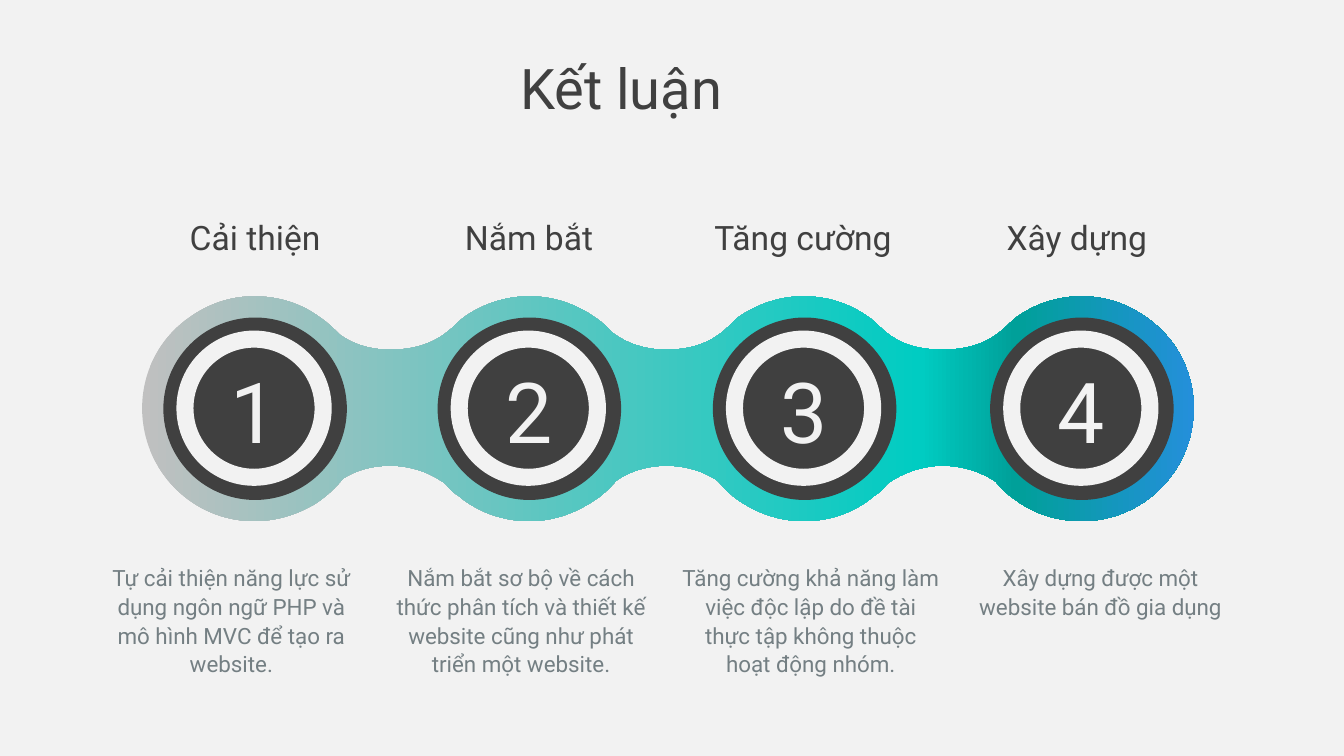
import pptx
import pptx.dml.color
import pptx.enum.shapes
import pptx.enum.text
import pptx.oxml
import pptx.oxml.ns
import pptx.util
from pptx.util import Inches

KINDS = pptx.enum.shapes.MSO_SHAPE
FONT = "Roboto"
DARK, LIGHT, GREY = "404040", "F2F2F2", "747F83"
STEPS = [
    ("Cải thiện", "Tự cải thiện năng lực sử dụng ngôn ngữ PHP và mô hình MVC để tạo ra website."),
    ("Nắm bắt", "Nắm bắt sơ bộ về cách thức phân tích và thiết kế website cũng như phát triển một website."),
    ("Tăng cường", "Tăng cường khả năng làm việc độc lập do đề tài thực tập không thuộc hoạt động nhóm."),
    ("Xây dựng", "Xây dựng được một website bán đồ gia dụng"),
]
MIDS = [2.52, 5.24, 7.97, 10.72]
STOPS = [(0, "C0C0C0"), (74, "00CCC2"), (83, "00A099"), (100, "248FDA")]

# Outline of the chain: a start point, then curves (two handles and an end)
START = (11.37, 3.15)
CURVES = [
    # Top edge, right to left
    (11.19, 3.02, 10.97, 2.94, 10.73, 2.94), (10.48, 2.94, 10.26, 3.02, 10.08, 3.15),
    (9.97, 3.23, 9.83, 3.47, 9.35, 3.47), (8.87, 3.47, 8.76, 3.25, 8.62, 3.15),
    (8.44, 3.02, 8.22, 2.94, 7.97, 2.94), (7.73, 2.94, 7.51, 3.02, 7.32, 3.15),
    (7.23, 3.22, 7.08, 3.47, 6.61, 3.47), (6.4, 3.47, 6.21, 3.41, 6.06, 3.29),
    (6.03, 3.25, 5.95, 3.18, 5.9, 3.15), (5.72, 3.02, 5.49, 2.94, 5.25, 2.94),
    (5.01, 2.94, 4.78, 3.02, 4.6, 3.15), (4.5, 3.22, 4.35, 3.47, 3.87, 3.47),
    (3.68, 3.47, 3.51, 3.42, 3.37, 3.32), (3.31, 3.26, 3.25, 3.2, 3.16, 3.14),
    (2.98, 3.01, 2.76, 2.94, 2.52, 2.94), (2.28, 2.94, 2.06, 3.02, 1.88, 3.15),
    # Left end
    (1.59, 3.35, 1.41, 3.68, 1.41, 4.05), (1.41, 4.67, 1.91, 5.17, 2.52, 5.17),
    # Bottom edge, left to right
    (2.75, 5.17, 2.96, 5.1, 3.14, 4.99), (3.24, 4.92, 3.33, 4.84, 3.4, 4.75),
    (3.54, 4.66, 3.7, 4.62, 3.87, 4.62), (4.08, 4.62, 4.27, 4.69, 4.42, 4.8),
    (4.46, 4.85, 4.5, 4.89, 4.55, 4.92), (4.74, 5.08, 4.99, 5.17, 5.25, 5.17),
    (5.49, 5.17, 5.71, 5.09, 5.9, 4.96), (5.98, 4.91, 6.05, 4.84, 6.11, 4.77),
    (6.25, 4.67, 6.43, 4.62, 6.61, 4.62), (6.8, 4.62, 6.97, 4.67, 7.12, 4.77),
    (7.18, 4.84, 7.25, 4.91, 7.32, 4.96), (7.51, 5.09, 7.73, 5.17, 7.97, 5.17),
    (8.24, 5.17, 8.48, 5.08, 8.67, 4.92), (8.72, 4.89, 8.76, 4.85, 8.8, 4.8),
    (8.95, 4.69, 9.15, 4.62, 9.35, 4.62), (9.55, 4.62, 9.73, 4.68, 9.88, 4.78),
    (9.93, 4.85, 9.99, 4.9, 10.06, 4.95), (10.24, 5.09, 10.47, 5.17, 10.73, 5.17),
    # Right end
    (11.34, 5.17, 11.84, 4.67, 11.84, 4.05), (11.84, 3.68, 11.66, 3.35, 11.37, 3.15),
]


def paint(fill, color):
    fill.solid()
    fill.fore_color.rgb = pptx.dml.color.RGBColor.from_string(color)


def node(xml):
    """Make an element from text whose first tag lacks its namespace."""
    tag, rest = xml.split(" ", 1)
    return pptx.oxml.parse_xml(f'{tag} {pptx.oxml.ns.nsdecls("a")} {rest}')


def spread(first, last, index):
    return first + (last - first) * index / (len(STEPS) - 1)


def write(frame, text, size, color, line=1.0, after=0):
    frame.word_wrap = True
    frame.auto_size = pptx.enum.text.MSO_AUTO_SIZE.NONE
    frame.vertical_anchor = pptx.enum.text.MSO_ANCHOR.TOP
    para = frame.paragraphs[0]
    para.alignment = pptx.enum.text.PP_ALIGN.CENTER
    para.line_spacing = line
    para.space_after = pptx.util.Pt(after)
    run = para.add_run()
    run.text = text
    run.font.name = FONT
    run.font.size = pptx.util.Pt(size)
    paint(run.font.fill, color)


def add_text(slide, left, top, width, height, *style):
    box = slide.shapes.add_textbox(Inches(left), Inches(top), Inches(width), Inches(height))
    write(box.text_frame, *style)


def add_shape(slide, kind, left, top, width, height, color):
    shape = slide.shapes.add_shape(
        kind, Inches(left), Inches(top), Inches(width), Inches(height))
    shape.shadow.inherit = False
    paint(shape.fill, color)
    shape.line.fill.background()
    return shape


def add_chain(slide):
    pen = slide.shapes.build_freeform(Inches(START[0]), Inches(START[1]))
    pen.add_line_segments([(Inches(x), Inches(y)) for *_, x, y in CURVES], close=True)
    chain = pen.convert_to_shape()
    chain.shadow.inherit = False
    chain.line.fill.background()
    props = chain._element.spPr
    # Each straight piece becomes a curve
    for piece, curve in zip(list(props.iter(pptx.oxml.ns.qn("a:lnTo"))), CURVES):
        points = "".join(
            f'<a:pt x="{Inches(x) - chain.left}" y="{Inches(y) - chain.top}"/>'
            for x, y in zip(curve[::2], curve[1::2]))
        piece.getparent().replace(piece, node(f"<a:cubicBezTo >{points}</a:cubicBezTo>"))
    # Four colour stops replace the default pair
    chain.fill.gradient()
    chain.fill.gradient_angle = 0
    stops = props.find(".//" + pptx.oxml.ns.qn("a:gsLst"))
    for stop in list(stops):
        stops.remove(stop)
    for place, color in STOPS:
        stops.append(node(f'<a:gs pos="{place * 1000}"><a:srgbClr val="{color}"/></a:gs>'))


def add_badge(slide, mid, label):
    add_shape(slide, KINDS.OVAL, mid - 0.9, 3.15, 1.82, 1.81, DARK)
    add_text(slide, mid - 0.42, 3.52, 0.85, 1.11, label, 60, LIGHT)
    ring = add_shape(slide, KINDS.DONUT, mid - 0.77, 3.28, 1.54, 1.54, LIGHT)
    ring.adjustments[0] = 0.11


def add_title(slide, text):
    title = slide.shapes.title
    title.left, title.top = Inches(3.33), Inches(0.48)
    title.width, title.height = Inches(5.66), Inches(0.77)
    write(title.text_frame, text, 40, DARK)
    # Bring the title in front of the backdrop
    slide.shapes._spTree.append(title._element)


def main():
    deck = pptx.Presentation()
    deck.slide_width, deck.slide_height = Inches(13.33), Inches(7.5)
    slide = deck.slides.add_slide(deck.slide_layouts[5])
    # Backdrop and chain
    add_shape(slide, KINDS.RECTANGLE, 0, 0, 13.33, 7.5, LIGHT)
    add_chain(slide)
    # One column per step: badge, heading and detail
    for index, (head, body) in enumerate(STEPS):
        add_badge(slide, MIDS[index], str(index + 1))
        add_text(slide, spread(1.24, 9.39, index), 2.15, 2.58, 0.36, head, 24, DARK, 0.9)
        add_text(slide, spread(0.91, 9.53, index), 5.53, 2.77, 1.25, body, 16, GREY, 1.07, 8)
    add_title(slide, "Kết luận")
    deck.save("out.pptx")


if __name__ == "__main__":
    main()
